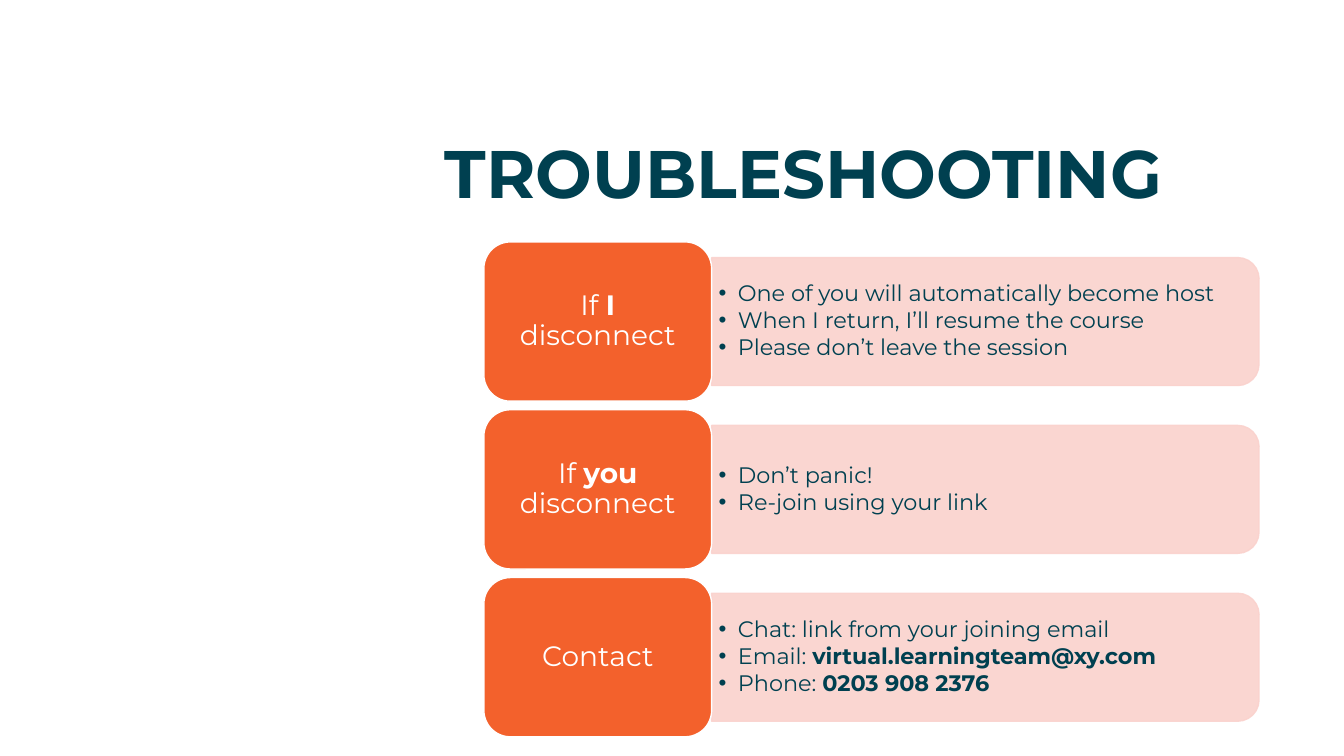
from dataclasses import dataclass

from lxml.etree import SubElement
from pptx import Presentation
from pptx.dml.color import RGBColor
from pptx.enum.shapes import MSO_SHAPE
from pptx.enum.text import MSO_ANCHOR, MSO_AUTO_SIZE, PP_ALIGN
from pptx.oxml.ns import qn
from pptx.util import Inches, Length, Pt

FONT = "Montserrat"
NAVY, ORANGE, PINK, WHITE = "004050", "F3612C", "FAD2CD", "FFFFFF"
SLIDE_WIDTH, SLIDE_HEIGHT = Inches(13.33), Inches(7.5)


@dataclass(frozen=True)
class Words:
    text: str
    bold: bool = False


@dataclass(frozen=True)
class Topic:
    label: list[Words]
    bullets: list[list[Words]]


TOPICS = [
    Topic(
        [Words("If "), Words("I", True), Words(" disconnect")],
        [
            [Words("One of you will automatically become host")],
            [Words("When I return, I’ll resume the course")],
            [Words("Please don’t leave the session")],
        ],
    ),
    Topic(
        [Words("If "), Words("you", True), Words(" disconnect")],
        [[Words("Don’t panic!")], [Words("Re-join using your link")]],
    ),
    Topic(
        [Words("Contact")],
        [
            [Words("Chat: link from your joining email")],
            [Words("Email: "), Words("virtual.learningteam@xy.com", True)],
            [Words("Phone: "), Words("0203 908 2376", True)],
        ],
    ),
]


def across(percent: float) -> Length:
    return Length(round(SLIDE_WIDTH * percent / 100))


def down(percent: float) -> Length:
    return Length(round(SLIDE_HEIGHT * percent / 100))


# Grid of the three rows, as percentages of the slide
CARD_LEFT, CARD_WIDTH = across(36), across(16.95)
CARD_HEIGHT = down(21.07)
FIRST_ROW, ROW_PITCH = down(32), down(22.2)
PANEL_LEFT, PANEL_WIDTH = CARD_LEFT + CARD_WIDTH, across(40.73)
PANEL_HEIGHT = down(16.93)
BULLETS_WIDTH, BULLETS_HEIGHT = across(40.27), down(15.2)


def color(value: str) -> RGBColor:
    return RGBColor.from_string(value)


def set_frame(frame, anchor, side: float, edge: float) -> None:
    frame.word_wrap = True
    frame.auto_size = MSO_AUTO_SIZE.NONE
    frame.vertical_anchor = anchor
    frame.margin_left = frame.margin_right = Inches(side)
    frame.margin_top = frame.margin_bottom = Inches(edge)


def write(paragraph, words: list[Words], size: int, ink: str, align=PP_ALIGN.LEFT) -> None:
    paragraph.alignment = align
    paragraph.line_spacing = 0.9
    for part in words:
        run = paragraph.add_run()
        run.text = part.text
        run.font.name = FONT
        run.font.size = Pt(size)
        run.font.bold = part.bold
        run.font.color.rgb = color(ink)


def add_bullet(paragraph) -> None:
    properties = paragraph._p.get_or_add_pPr()
    properties.set("marL", str(Inches(0.19)))
    properties.set("indent", str(-Inches(0.19)))
    SubElement(properties, qn("a:buFont"), typeface="Arial")
    SubElement(properties, qn("a:buChar"), char="•")


def paint(shape, fill: str, line: str) -> None:
    shape.shadow.inherit = False
    shape.fill.solid()
    shape.fill.fore_color.rgb = color(fill)
    shape.line.color.rgb = color(line)
    shape.line.width = Pt(1)


def add_panel(slide, middle: int) -> None:
    # A quarter turn swaps width and height around the shared centre
    center = PANEL_LEFT + PANEL_WIDTH // 2
    panel = slide.shapes.add_shape(
        MSO_SHAPE.ROUND_2_SAME_RECTANGLE,
        center - PANEL_HEIGHT // 2, middle - PANEL_WIDTH // 2,
        PANEL_HEIGHT, PANEL_WIDTH,
    )
    panel.rotation = 90
    paint(panel, PINK, PINK)
    for tint in panel._element.spPr.iter(qn("a:srgbClr")):
        SubElement(tint, qn("a:alpha"), val="90000")


def add_bullets(slide, middle: int, bullets: list[list[Words]]) -> None:
    box = slide.shapes.add_textbox(
        PANEL_LEFT, middle - BULLETS_HEIGHT // 2, BULLETS_WIDTH, BULLETS_HEIGHT
    )
    frame = box.text_frame
    set_frame(frame, MSO_ANCHOR.MIDDLE, 0.07, 0.03)
    for index, words in enumerate(bullets):
        paragraph = frame.add_paragraph() if index else frame.paragraphs[0]
        add_bullet(paragraph)
        write(paragraph, words, 16, NAVY)
        paragraph.space_after = Pt(2.1)


def add_card(slide, middle: int, label: list[Words]) -> None:
    card = slide.shapes.add_shape(
        MSO_SHAPE.ROUNDED_RECTANGLE,
        CARD_LEFT, middle - CARD_HEIGHT // 2, CARD_WIDTH, CARD_HEIGHT,
    )
    paint(card, ORANGE, WHITE)
    set_frame(card.text_frame, MSO_ANCHOR.MIDDLE, 0.08, 0.04)
    write(card.text_frame.paragraphs[0], label, 20, WHITE, PP_ALIGN.CENTER)


def add_title(slide) -> None:
    title = slide.shapes.title
    title.left, title.top = across(33.08), down(18.53)
    title.width, title.height = across(60.54), down(17.73)
    set_frame(title.text_frame, MSO_ANCHOR.TOP, 0, 0)
    write(title.text_frame.paragraphs[0], [Words("TROUBLESHOOTING", True)], 48, NAVY)


def main() -> None:
    presentation = Presentation()
    presentation.slide_width, presentation.slide_height = SLIDE_WIDTH, SLIDE_HEIGHT
    slide = presentation.slides.add_slide(presentation.slide_layouts[5])
    slide.background.fill.solid()
    slide.background.fill.fore_color.rgb = color(WHITE)

    add_title(slide)
    # One row per topic: panel, bullets, then the card
    for row, topic in enumerate(TOPICS):
        middle = FIRST_ROW + row * ROW_PITCH + CARD_HEIGHT // 2
        add_panel(slide, middle)
        add_bullets(slide, middle, topic.bullets)
        add_card(slide, middle, topic.label)

    presentation.save("out.pptx")


if __name__ == "__main__":
    main()
